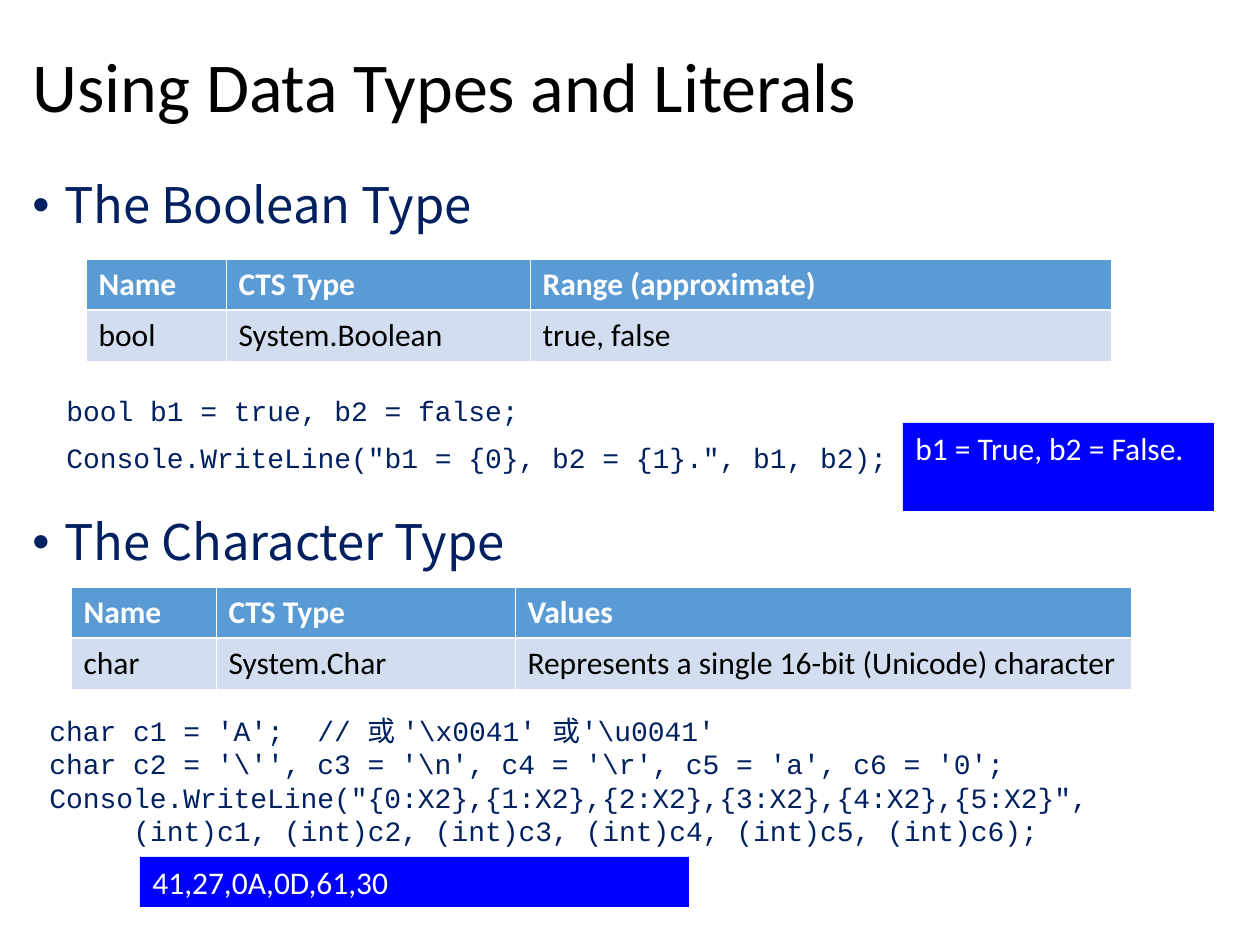
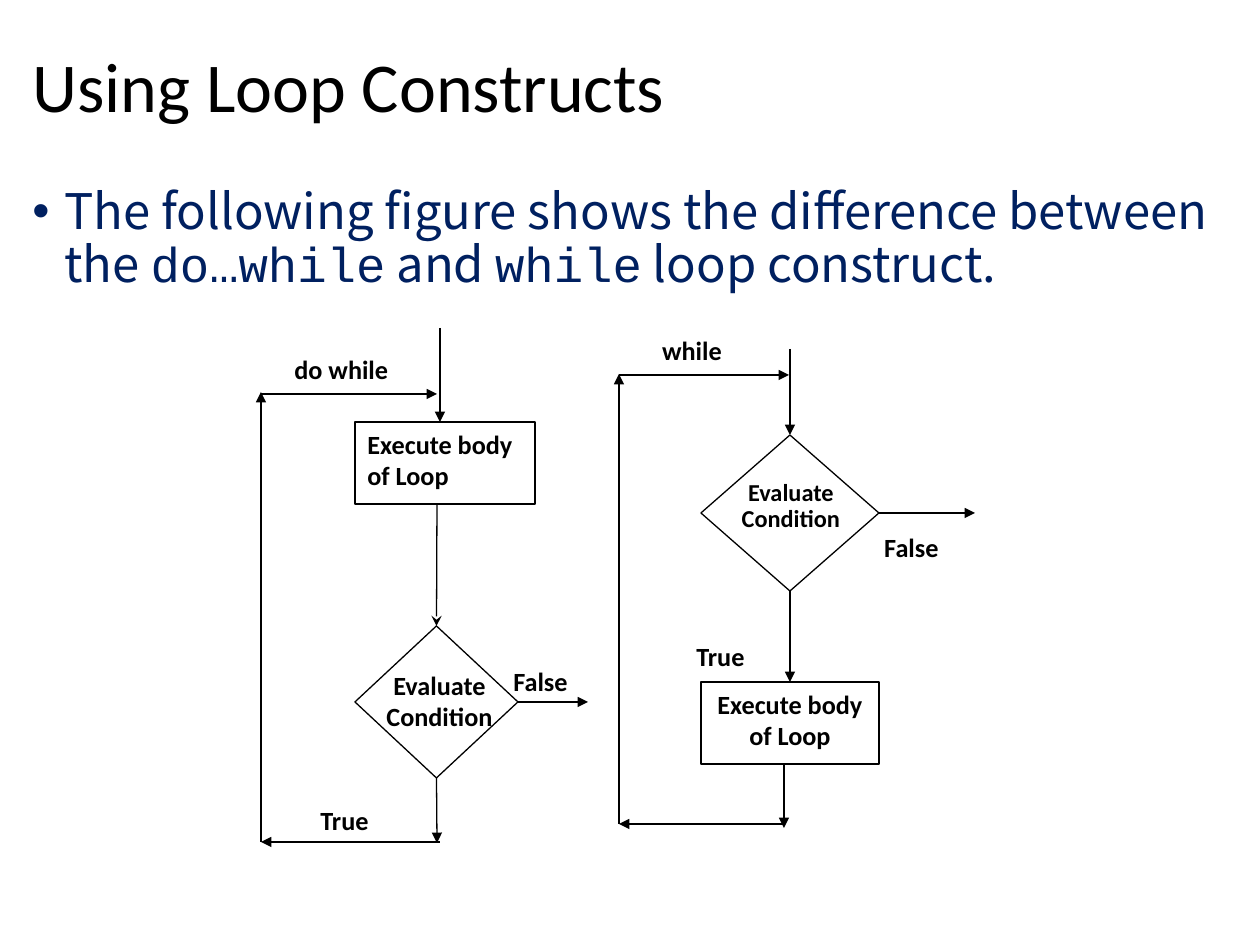
from lxml import etree
from pptx import Presentation
from pptx.dml.color import RGBColor
from pptx.enum.shapes import MSO_CONNECTOR, MSO_SHAPE
from pptx.enum.text import MSO_ANCHOR, PP_ALIGN
from pptx.oxml.ns import qn
from pptx.util import Emu, Pt

SCALE = 914400 / 126
BLACK, WHITE, NAVY, BLUE = "000000", "FFFFFF", "002060", "0000FF"
HEADER_FILL, ROW_FILL = "5B9BD5", "D2DEEF"
SANS, BODY, CODE = "Calibri", "Noto Sans CJK SC", "Courier New"
TOP, RIGHT, BOTTOM = 0, 3, 2
LEFT_ALIGN, CENTER = PP_ALIGN.LEFT, PP_ALIGN.CENTER


def px(*lengths):
    return [Emu(round(length * SCALE)) for length in lengths]


def color(value):
    return RGBColor.from_string(value)


def set_font(font, name, size=None, ink=None, bold=None):
    font.name = name
    if size:
        font.size = Pt(size)
    if ink:
        font.color.rgb = color(ink)
    if bold is not None:
        font.bold = bold


class SlideBuilder:
    def __init__(self):
        self.deck = Presentation()
        self.deck.slide_width, self.deck.slide_height = px(1260, 945)
        self.page = None

    def new_page(self, title):
        self.page = self.deck.slides.add_slide(self.deck.slide_layouts[5])
        box = self.page.shapes.title
        box.left, box.top, box.width, box.height = px(20, 14, 1227, 151)
        box.text_frame.vertical_anchor = MSO_ANCHOR.MIDDLE
        box.text_frame.text = title
        para = box.text_frame.paragraphs[0]
        para.alignment, para.line_spacing = LEFT_ALIGN, 0.9
        set_font(para.font, SANS, 40, BLACK)

    def body(self, top):
        box = self.page.shapes.add_textbox(*px(20, top, 1227, 745))
        box.text_frame.word_wrap = True
        return box.text_frame

    def paragraph(self, frame, before, spacing, margin, indent=0):
        first = frame.paragraphs[0]
        para = frame.add_paragraph() if first.runs else first
        para.space_before, para.line_spacing = Pt(before), spacing
        props = para._p.get_or_add_pPr()
        left, hang = px(margin, indent)
        props.set("marL", str(left))
        props.set("indent", str(hang))
        return para

    def bullet(self, frame, *spans, before=0):
        """Add a bullet paragraph from (text, font name) spans."""
        para = self.paragraph(frame, before, 0.9, 32, -32)
        props = para._p.get_or_add_pPr()
        tint = etree.SubElement(props, qn("a:buClr"))
        etree.SubElement(tint, qn("a:srgbClr"), val=NAVY)
        etree.SubElement(props, qn("a:buFont"), typeface="Arial")
        etree.SubElement(props, qn("a:buChar"), char="•")
        set_font(para.font, BODY, 28, NAVY)
        for text, font_name in spans:
            span = para.add_run()
            span.text = text
            set_font(span.font, font_name, 28, NAVY)

    def code(self, frame, text, margin, before=0, spacing=1.0):
        para = self.paragraph(frame, before, spacing, margin)
        para.add_run().text = text
        set_font(para.font, CODE, 16, NAVY)

    def table(self, left, top, widths, rows):
        row_height = 51
        frame = self.page.shapes.add_table(
            len(rows), len(widths),
            *px(left, top, sum(widths), row_height * len(rows)))
        table = frame.table
        for column, width in zip(table.columns, px(*widths)):
            column.width = width
        for row_index, texts in enumerate(rows):
            is_header = row_index == 0
            table.rows[row_index].height = px(row_height)[0]
            for column_index, text in enumerate(texts):
                cell = table.cell(row_index, column_index)
                cell.text = text
                cell.fill.solid()
                cell.fill.fore_color.rgb = color(HEADER_FILL if is_header else ROW_FILL)
                set_font(cell.text_frame.paragraphs[0].font, SANS, 18,
                         WHITE if is_header else BLACK, is_header)
                self.cell_borders(cell, "lnB" if is_header else "lnT")

    def cell_borders(self, cell, thick_side):
        props = cell._tc.get_or_add_tcPr()
        for index, side in enumerate(("lnL", "lnR", "lnT", "lnB")):
            width = Pt(1.47 if side == thick_side else 0.45)
            line = etree.Element(qn(f"a:{side}"), w=str(width))
            fill = etree.SubElement(line, qn("a:solidFill"))
            etree.SubElement(fill, qn("a:srgbClr"), val=WHITE)
            props.insert(index, line)

    def shape(self, bounds, text="", kind=MSO_SHAPE.RECTANGLE, fill=WHITE, outline=True,
              align=CENTER, size=15, ink=BLACK, bold=True):
        box = self.page.shapes.add_shape(kind, *px(*bounds))
        box.shadow.inherit = False
        box.fill.solid()
        box.fill.fore_color.rgb = color(fill)
        if outline:
            box.line.color.rgb = color(BLACK)
            box.line.width = Pt(0.75)
        else:
            box.line.fill.background()
        if text:
            self.put_text(box, text, align, size, ink, bold)
        return box

    def put_text(self, box, text, align, size, ink, bold, spacing=1.0):
        frame = box.text_frame
        frame.word_wrap = True
        frame.vertical_anchor = MSO_ANCHOR.TOP
        frame.text = text
        for para in frame.paragraphs:
            para.alignment, para.line_spacing = align, spacing
            set_font(para.font, SANS, size, ink, bold)

    def output(self, bounds, text):
        self.shape(bounds, text, fill=BLUE, outline=False, align=LEFT_ALIGN,
                   size=18, ink=WHITE, bold=False)

    def label(self, bounds, text, align=CENTER):
        self.shape(bounds, text, outline=False, align=align)

    def caption(self, bounds, text, size, spacing):
        box = self.page.shapes.add_textbox(*px(*bounds))
        self.put_text(box, text, CENTER, size, BLACK, True, spacing)

    def arrow(self, start, end, head="triangle"):
        """Draw an arrow; each end is a point or a (shape, side) pair."""
        joined = [not isinstance(place[0], int) for place in (start, end)]
        begin_point = (0, 0) if joined[0] else start
        end_point = (0, 0) if joined[1] else end
        connector = self.page.shapes.add_connector(
            MSO_CONNECTOR.STRAIGHT, *px(*begin_point, *end_point))
        if joined[0]:
            connector.begin_connect(*start)
        if joined[1]:
            connector.end_connect(*end)
        connector.line.color.rgb = color(BLACK)
        connector.line.width = Pt(0.75)
        props = connector._element.spPr
        etree.SubElement(props.find(qn("a:ln")), qn("a:tailEnd"), type=head)
        etree.SubElement(props, qn("a:effectLst"))


def data_types_page(builder):
    builder.new_page("Using Data Types and Literals")

    # Headings and code
    frame = builder.body(175)
    builder.bullet(frame, ("The Boolean Type", BODY))
    builder.code(frame, "bool b1 = true, b2 = false;", 34, 93, 0.9)
    builder.code(frame, 'Console.WriteLine("b1 = {0}, b2 = {1}.", b1, b2);', 34, 10, 0.9)
    builder.bullet(frame, ("The Character Type", BODY), before=25)
    builder.code(frame, r"char c1 = 'A';  // 或 '\x0041' 或'\u0041'", 17, 81)
    builder.code(frame, r"char c2 = '\'', c3 = '\n', c4 = '\r', c5 = 'a', c6 = '0';", 17)
    builder.code(frame, 'Console.WriteLine("{0:X2},{1:X2},{2:X2},{3:X2},{4:X2},{5:X2}",', 17)
    builder.code(frame, "(int)c1, (int)c2, (int)c3, (int)c4, (int)c5, (int)c6);", 101)

    # Type tables
    builder.table(86, 259, (140, 304, 581), (
        ("Name", "CTS Type", "Range (approximate)"),
        ("bool", "System.Boolean", "true, false")))
    builder.table(71, 587, (145, 299, 616), (
        ("Name", "CTS Type", "Values"),
        ("char", "System.Char", "Represents a single 16-bit (Unicode) character")))

    # Console output
    builder.output((903, 423, 311, 88), "b1 = True, b2 = False.")
    builder.output((140, 857, 549, 50), "41,27,0A,0D,61,30")


def loops_page(builder):
    builder.new_page("Using Loop Constructs")
    builder.bullet(
        builder.body(181),
        ("The following figure shows the difference between the ", BODY),
        ("do…while", CODE), (" and ", BODY), ("while", CODE), (" loop construct.", BODY))

    # Do-while flowchart
    builder.label((282, 347, 137, 49), "do while", LEFT_ALIGN)
    builder.label((489, 659, 103, 49), "False")
    builder.label((296, 798, 97, 49), "True")
    builder.shape((355, 422, 180, 82), "Execute body of Loop", align=LEFT_ALIGN)
    condition = builder.shape((355, 626, 163, 152), kind=MSO_SHAPE.DIAMOND)
    builder.caption((354, 663, 171, 79), "Evaluate\nCondition", 15, 1.0)
    builder.arrow((440, 328), (440, 422))
    builder.arrow((437, 504), (condition, TOP), "stealth")
    builder.arrow((condition, RIGHT), (588, 702))
    builder.arrow((condition, BOTTOM), (437, 843))
    builder.arrow((440, 842), (261, 842))
    builder.arrow((261, 842), (261, 392))
    builder.arrow((261, 394), (437, 394))

    # While flowchart
    builder.label((631, 328, 122, 44), "while")
    builder.label((847, 525, 129, 49), "False")
    builder.label((656, 634, 129, 49), "True")
    loop_body = builder.shape((701, 682, 178, 82), "Execute body of Loop")
    condition = builder.shape((701, 435, 178, 156), kind=MSO_SHAPE.DIAMOND)
    builder.caption((703, 474, 176, 74), "Evaluate\nCondition", 13.9, 0.9)
    builder.arrow((790, 349), (condition, TOP))
    builder.arrow((condition, RIGHT), (975, 513))
    builder.arrow((condition, BOTTOM), (loop_body, TOP))
    builder.arrow((784, 765), (784, 828))
    builder.arrow((784, 824), (619, 824))
    builder.arrow((619, 824), (619, 374))
    builder.arrow((619, 375), (789, 375))


def main():
    builder = SlideBuilder()
    data_types_page(builder)
    loops_page(builder)
    builder.deck.save("out.pptx")


if __name__ == "__main__":
    main()
